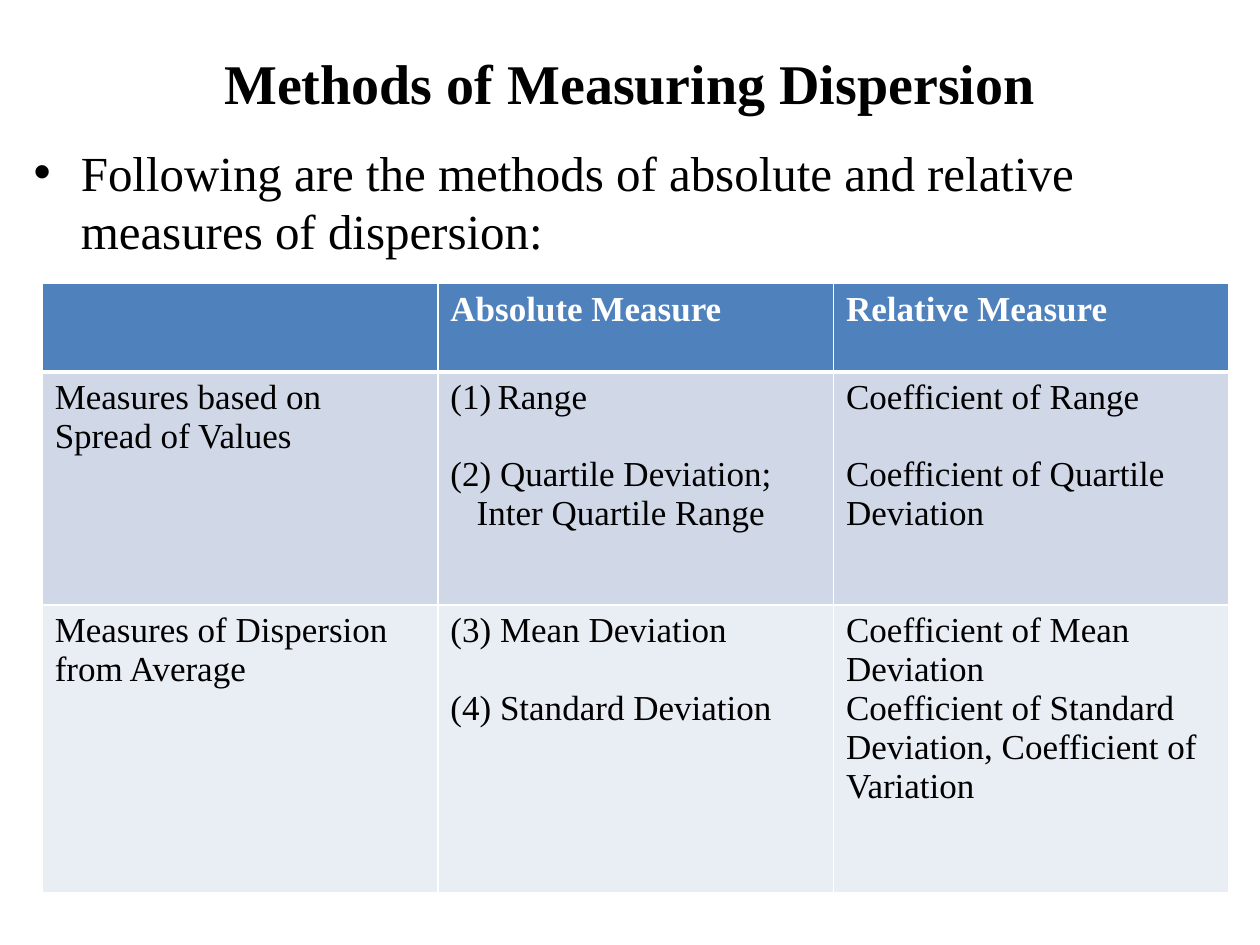
from lxml.etree import SubElement
from pptx import Presentation
from pptx.dml.color import RGBColor
from pptx.enum.text import MSO_ANCHOR as Anchor, PP_ALIGN as Align
from pptx.oxml.ns import qn
from pptx.util import Cm, Pt

FONT = "Times New Roman"
BLACK, WHITE = "000000", "FFFFFF"
HEADER_FILL, BAND_FILLS = "4F81BD", ("D0D8E8", "E9EDF4")
HANGING = 0.95  # bullet indent in cm
LINE_GAP = 22  # one empty table line in points

HEADINGS = ["", "Absolute Measure", "Relative Measure"]
ROWS = [
    ["Measures based on Spread of Values",
     "Range\n(2) Quartile Deviation;\nInter Quartile Range",
     "Coefficient of Range\nCoefficient of Quartile Deviation"],
    ["Measures of Dispersion from Average",
     "(3) Mean Deviation\n(4) Standard Deviation",
     "Coefficient of Mean Deviation\n"
     "Coefficient of Standard Deviation, Coefficient of Variation"],
]
ROW_HEIGHTS = [1.78, 4.7, 5.79]


def color(hex_string):
    return RGBColor.from_string(hex_string)


def format_text(text_frame, size, hex_color=BLACK, bold=False):
    for paragraph in text_frame.paragraphs:
        for font in [paragraph.font] + [run.font for run in paragraph.runs]:
            font.name, font.size, font.bold = FONT, Pt(size), bold
            font.color.rgb = color(hex_color)


def set_indent(paragraph, left, first=0):
    properties = paragraph._p.get_or_add_pPr()
    properties.set("marL", str(Cm(left)))
    properties.set("indent", str(Cm(first)))
    return properties


def add_text(slide, text, left, top, width, height, size, bold=False):
    shape = slide.shapes.add_textbox(Cm(left), Cm(top), Cm(width), Cm(height))
    text_frame = shape.text_frame
    text_frame.word_wrap = True
    text_frame.text = text
    format_text(text_frame, size, bold=bold)
    return text_frame


def add_title(slide, left, top, width, height):
    text_frame = add_text(slide, "Methods of Measuring Dispersion",
                          left, top, width, height, 32, bold=True)
    text_frame.vertical_anchor = Anchor.MIDDLE
    text_frame.paragraphs[0].alignment = Align.CENTER


def add_introduction(slide, left, top, width, height):
    text_frame = add_text(
        slide, "Following are the methods of absolute and relative measures of dispersion:",
        left, top, width, height, 28)
    paragraph = text_frame.paragraphs[0]
    paragraph.space_before = Pt(6)
    properties = set_indent(paragraph, HANGING, -HANGING)
    SubElement(properties, qn("a:buFont"), typeface="Arial")
    SubElement(properties, qn("a:buChar"), char="•")


def set_borders(cell, widths):
    """Draw white borders; widths maps a side (L, R, T, B) to points."""
    properties = cell._tc.get_or_add_tcPr()
    for index, (side, width) in enumerate(widths.items()):
        line = properties.makeelement(qn(f"a:ln{side}"), {"w": str(Pt(width))})
        fill = SubElement(line, qn("a:solidFill"))
        SubElement(fill, qn("a:srgbClr"), val=WHITE)
        properties.insert(index, line)


def add_measures_table(slide, left, top, width):
    frame = slide.shapes.add_table(len(ROW_HEIGHTS), len(HEADINGS), Cm(left), Cm(top),
                                   Cm(width), Cm(sum(ROW_HEIGHTS)))
    table = frame.table
    for column in table.columns:
        column.width = Cm(width / len(HEADINGS))
    for row, height in zip(table.rows, ROW_HEIGHTS):
        row.height = Cm(height)

    for row_index, texts in enumerate([HEADINGS] + ROWS):
        is_header = row_index == 0
        for column_index, text in enumerate(texts):
            cell = table.cell(row_index, column_index)
            cell.text_frame.text = text
            format_text(cell.text_frame, 20, WHITE if is_header else BLACK, is_header)
            cell.fill.solid()
            cell.fill.fore_color.rgb = color(
                HEADER_FILL if is_header else BAND_FILLS[row_index - 1])
            set_borders(cell, {"L": 1, "R": 1, "T": 3 if row_index == 1 else 1,
                               "B": 3 if is_header else 1})

    # Gaps between the separate measures within a cell
    for row_index, column_index in [(1, 1), (1, 2), (2, 1)]:
        paragraphs = table.cell(row_index, column_index).text_frame.paragraphs
        paragraphs[1].space_before = Pt(LINE_GAP)

    # Automatic number and indented continuation
    numbered, _, continuation = table.cell(1, 1).text_frame.paragraphs
    properties = set_indent(numbered, HANGING, -HANGING)
    SubElement(properties, qn("a:buFont"), typeface=FONT)
    SubElement(properties, qn("a:buAutoNum"), type="arabicParenBoth")
    set_indent(continuation, 0.53)


def main():
    presentation = Presentation()
    presentation.slide_width, presentation.slide_height = Cm(25.4), Cm(19.05)
    slide = presentation.slides.add_slide(presentation.slide_layouts[6])
    add_title(slide, 1.27, 0.76, 22.86, 1.78)
    add_introduction(slide, 0.43, 2.74, 24.56, 15.88)
    add_measures_table(slide, 0.85, 5.72, 23.93)
    presentation.save("out.pptx")


if __name__ == "__main__":
    main()
